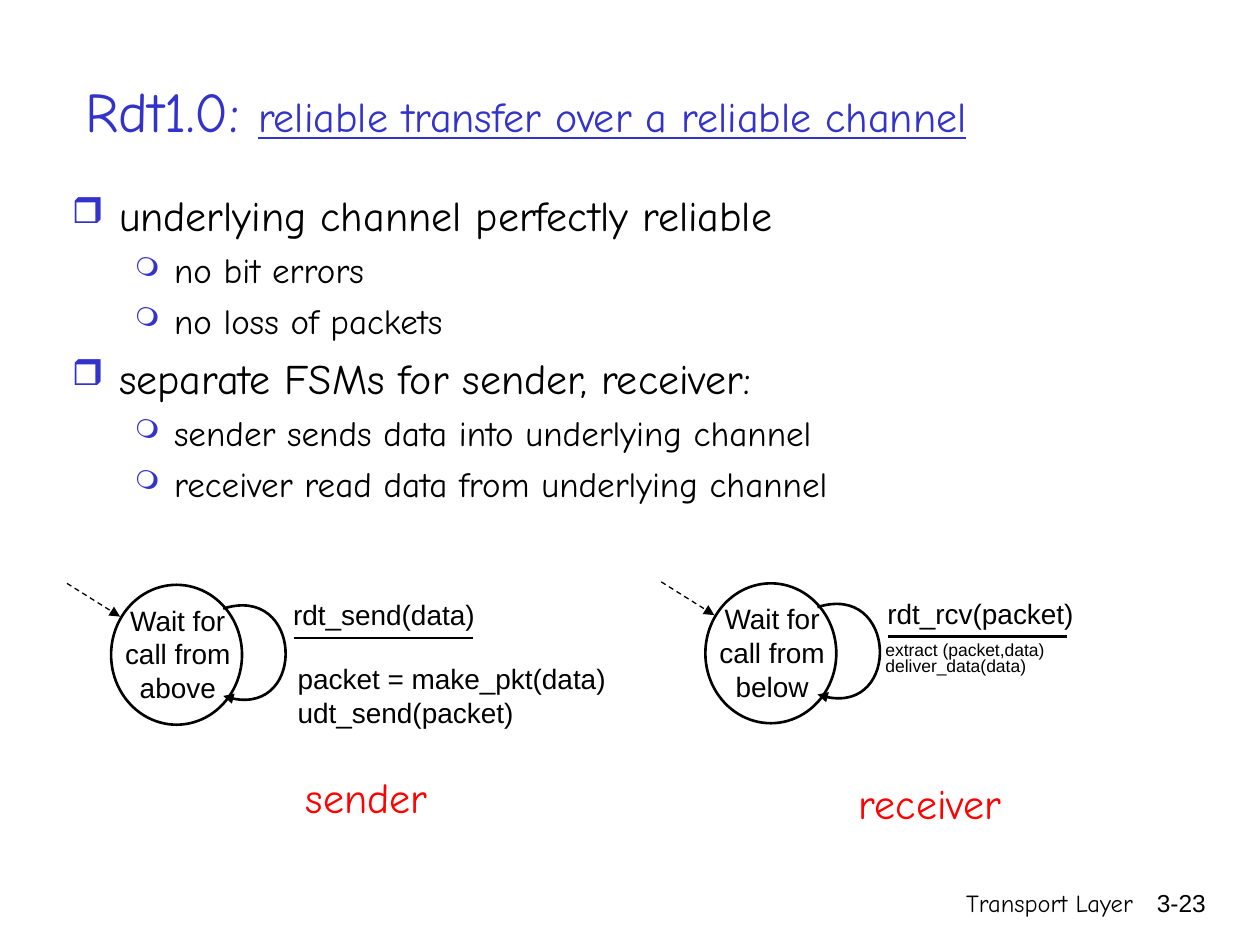
from lxml.etree import SubElement
from pptx import Presentation
from pptx.dml.color import RGBColor
from pptx.enum.dml import MSO_LINE
from pptx.enum.shapes import MSO_CONNECTOR, MSO_SHAPE
from pptx.enum.text import MSO_ANCHOR, PP_ALIGN
from pptx.oxml.ns import qn
from pptx.util import Cm, Pt

COLOURS = {"ink": "000000", "paper": "FFFFFF", "accent": "3333CC", "role": "FF0000"}
HAND, PLAIN = "Comic Neue", "Arial"

# Bullet level: sign, sign size (%), text size, space before, left margin, hanging indent (cm)
LEVELS = [("❒", 85, 24, 6, 0.95, 0.95), ("❍", 75, 20, 5, 2.06, 0.79)]


def colour(name):
    return RGBColor.from_string(COLOURS[name])


def add_bullet(paragraph, level, first):
    sign, percent, _, before, margin, hang = LEVELS[level]
    paragraph.level = level
    properties = paragraph._p.get_or_add_pPr()
    properties.set("marL", str(Cm(margin)))
    properties.set("indent", str(-Cm(hang)))
    tint = SubElement(properties, qn("a:buClr"))
    SubElement(tint, qn("a:srgbClr"), val=COLOURS["accent"])
    SubElement(properties, qn("a:buSzPct"), val=str(percent * 1000))
    SubElement(properties, qn("a:buChar"), char=sign)
    paragraph.space_before = Pt(0 if first else before)


def add_text(slide, box, paragraphs, size=16, font=PLAIN, ink="ink", align=PP_ALIGN.LEFT,
             anchor=MSO_ANCHOR.TOP, wrap=True, spacing=None, levels=None):
    """Each paragraph is a list of (text, size, underline) runs or a plain string."""
    frame = slide.shapes.add_textbox(*map(Cm, box)).text_frame
    frame.word_wrap = wrap
    frame.vertical_anchor = anchor
    for index, content in enumerate(paragraphs):
        paragraph = frame.add_paragraph() if index else frame.paragraphs[0]
        paragraph.alignment = align
        if spacing:
            paragraph.line_spacing = spacing
        if levels:
            add_bullet(paragraph, levels[index], index == 0)
            size = LEVELS[levels[index]][2]
        runs = [(content, size, None)] if isinstance(content, str) else content
        for words, run_size, underline in runs:
            run = paragraph.add_run()
            run.text = words
            run.font.size = Pt(run_size)
            run.font.name = font
            run.font.underline = underline
            run.font.color.rgb = colour(ink)


def style_line(line, width, arrow=False, dash=None):
    line.color.rgb = colour("ink")
    line.width = Pt(width)
    if dash:
        line.dash_style = dash
    if arrow:
        SubElement(line._get_or_add_ln(), qn("a:tailEnd"), type="triangle")


def add_line(slide, start, end, width, **look):
    connector = slide.shapes.add_connector(
        MSO_CONNECTOR.STRAIGHT, *map(Cm, (*start, *end)))
    style_line(connector.line, width, **look)
    SubElement(connector._element.spPr, qn("a:effectLst"))


def add_loop(slide, points):
    """Draw one cubic curve: start, two control points, end."""
    start, *rest = [(Cm(x), Cm(y)) for x, y in points]
    builder = slide.shapes.build_freeform(*start)
    builder.add_line_segments(rest, close=False)
    loop = builder.convert_to_shape()
    segments = list(loop._element.iter(qn("a:lnTo")))
    curve = SubElement(segments[0].getparent(), qn("a:cubicBezTo"))
    for segment in segments:
        curve.append(segment[0])
        segment.getparent().remove(segment)
    loop.shadow.inherit = False
    loop.fill.background()
    style_line(loop.line, 1.5, arrow=True)


def add_heading(slide, box):
    add_text(slide, box,
             [[("Rdt1.0: ", 32, None),
               ("reliable transfer over a reliable channel", 24, True)]],
             font=HAND, ink="accent", anchor=MSO_ANCHOR.MIDDLE)


def add_points(slide, box):
    points = [
        (0, "underlying channel perfectly reliable"),
        (1, "no bit errors"),
        (1, "no loss of packets"),
        (0, "separate FSMs for sender, receiver:"),
        (1, "sender sends data into underlying channel"),
        (1, "receiver read data from underlying channel"),
    ]
    levels, texts = zip(*points)
    add_text(slide, box, texts, font=HAND, levels=levels)


def add_state_machine(slide, box, state, event, event_width, actions, action_box,
                      role, role_offset, **action_format):
    left, top, width, height = box

    def at(x, y):
        return left + x, top + y

    # State circle
    circle = slide.shapes.add_shape(MSO_SHAPE.OVAL, *map(Cm, box))
    circle.shadow.inherit = False
    circle.fill.solid()
    circle.fill.fore_color.rgb = colour("paper")
    style_line(circle.line, 1.5)
    add_text(slide, (*at(-0.18, 0.25), 3.05, 2.54), [state], align=PP_ALIGN.CENTER)

    # Transition back to the state, and the entry arrow
    add_loop(slide, [at(2.26, 0.48), at(3.86, -0.03), at(3.96, 2.82), at(2.26, 2.24)])
    add_line(slide, at(-0.89, -0.03), at(0.18, 0.64), 0.75, arrow=True, dash=MSO_LINE.DASH)

    # Event above the rule, actions below
    add_text(slide, (*at(3.42, 0.14), event_width, 0.94), [event])
    add_line(slide, at(3.68, 1.07), at(7.29, 1.07), 1.5)
    add_text(slide, (*at(*action_box[:2]), *action_box[2:]), actions, **action_format)

    # Role
    add_text(slide, (*at(*role_offset), 3.6, 1.27), [role], size=24, font=HAND,
             ink="role", align=PP_ALIGN.CENTER, wrap=False)


def add_footer(slide, box):
    left, top, width, height = box
    number_width = 1.88
    add_text(slide, (left, top, 8.05, height), ["Transport Layer"],
             size=14, font=HAND, align=PP_ALIGN.RIGHT)
    add_text(slide, (left + width - number_width, top, number_width, height), ["3-23"],
             size=14, align=PP_ALIGN.RIGHT)


def main():
    presentation = Presentation()
    presentation.slide_width, presentation.slide_height = Cm(25.4), Cm(19.05)
    slide = presentation.slides.add_slide(presentation.slide_layouts[6])

    add_footer(slide, (15.04, 17.78, 9.52, 1.27))
    add_heading(slide, (1.48, 0.64, 22.23, 3.18))
    add_points(slide, (1.2, 3.7, 21.95, 8.38))
    add_state_machine(
        slide, (2.24, 11.79, 2.64, 2.82), "Wait for call from above",
        "rdt_send(data)", 6.27,
        ["packet = make_pkt(data)", "udt_send(packet)"], (3.51, 1.42, 7.44, 1.65),
        "sender", (3.35, 3.63))
    add_state_machine(
        slide, (14.22, 11.76, 2.64, 2.82), "Wait for call from below",
        "rdt_rcv(packet)", 4.27,
        ["extract (packet,data)", "deliver_data(data)"], (3.38, 1.07, 6.91, 1.19),
        "receiver", (2.73, 3.78), size=10, spacing=0.8)

    presentation.save("out.pptx")


if __name__ == "__main__":
    main()
